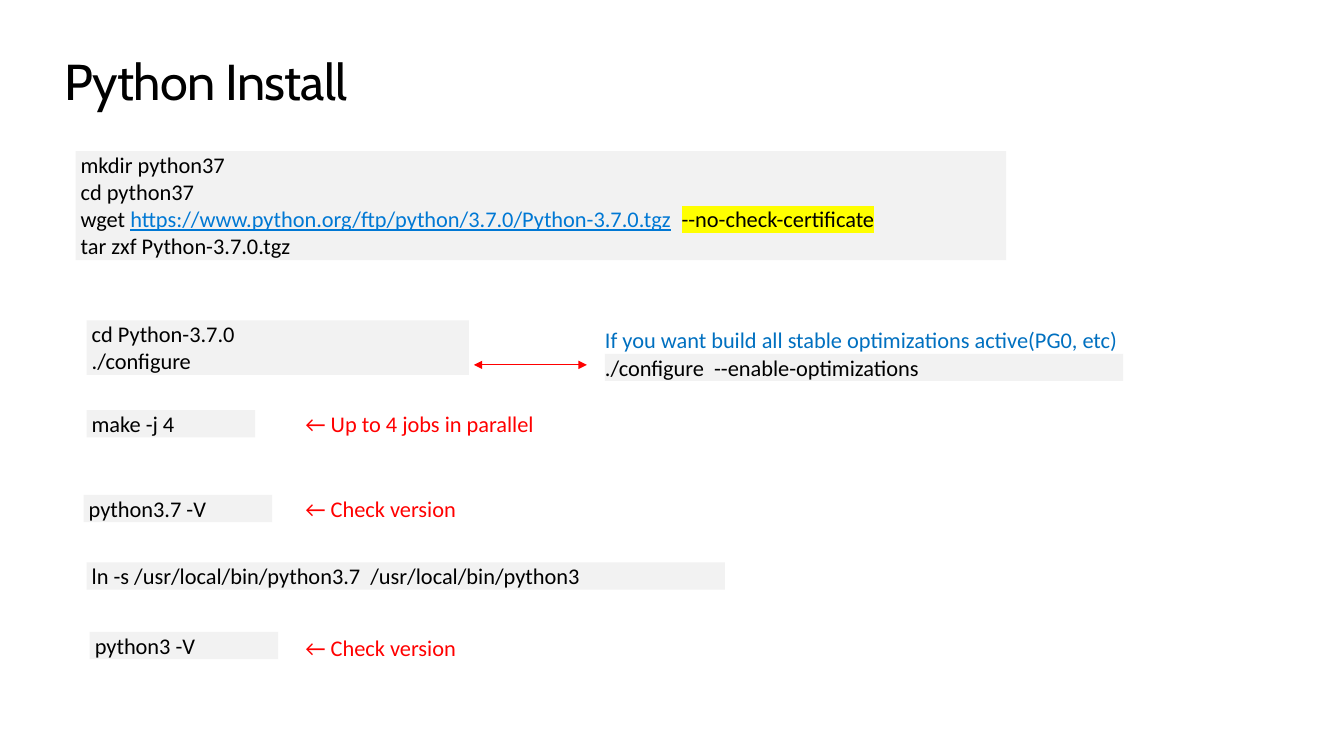
from lxml import etree
from pptx import Presentation
from pptx.dml.color import RGBColor
from pptx.enum.shapes import MSO_CONNECTOR, MSO_SHAPE
from pptx.enum.text import MSO_ANCHOR, MSO_AUTO_SIZE, PP_ALIGN
from pptx.oxml.ns import qn
from pptx.util import Inches, Pt

RECTANGLE = MSO_SHAPE.RECTANGLE
STRAIGHT = MSO_CONNECTOR.STRAIGHT
TOP = MSO_ANCHOR.TOP
NO_AUTOFIT = MSO_AUTO_SIZE.NONE
LEFT = PP_ALIGN.LEFT

BLACK = RGBColor(0x00, 0x00, 0x00)
GREY = RGBColor(0xF2, 0xF2, 0xF2)
RED = RGBColor(0xFF, 0x00, 0x00)
BLUE = RGBColor(0x00, 0x70, 0xC0)
LINK_BLUE = RGBColor(0x00, 0x78, 0xD4)
YELLOW = RGBColor(0xFF, 0xFF, 0x00)

LINE_HEIGHT = 0.27
CODE_INDENT = 0.05
NOTE_LEFT = 3.03


class InstallPage:
    """Holds the text style and the slide being filled."""

    title_format = {"name": "Cabin", "size": Pt(36), "bold": False}
    body_format = {"name": "Calibri", "size": Pt(16)}

    def __init__(self, deck):
        self.page = deck.slides.add_slide(deck.slide_layouts[5])

    def frame(self, box, indent=0):
        settings = {
            "margin_left": Inches(indent), "margin_right": 0,
            "margin_top": 0, "margin_bottom": 0, "word_wrap": True,
            "auto_size": NO_AUTOFIT, "vertical_anchor": TOP,
        }
        for name, value in settings.items():
            setattr(box.text_frame, name, value)
        return box.text_frame

    def span(self, para, text, style, color=BLACK, underline=None, highlight=None):
        para.alignment = LEFT
        span = para.add_run()
        span.text = text
        for name, value in {**style, "underline": underline}.items():
            setattr(span.font, name, value)
        span.font.color.rgb = color
        properties = span._r.get_or_add_rPr()
        if highlight is not None:
            mark = etree.Element(qn("a:highlight"))
            etree.SubElement(mark, qn("a:srgbClr"), val=str(highlight))
            properties.find(qn("a:solidFill")).addnext(mark)
        return properties

    def title(self, text):
        box = self.page.shapes.title
        box.left, box.top = Inches(0.64), Inches(0.5)
        box.width, box.height = Inches(12.05), Inches(0.61)
        para = self.frame(box).paragraphs[0]
        self.span(para, text, self.title_format).set("spc", "-50")

    def code(self, left, top, width, lines, indent=CODE_INDENT):
        """Each line is a list of (text, format) pieces."""
        box = self.page.shapes.add_shape(
            RECTANGLE, Inches(left), Inches(top), Inches(width),
            Inches(LINE_HEIGHT * len(lines)))
        box.shadow.inherit = False
        box.fill.solid()
        box.fill.fore_color.rgb = GREY
        box.line.fill.background()
        frame = self.frame(box, indent)
        for index, pieces in enumerate(lines):
            para = frame.add_paragraph() if index else frame.paragraphs[0]
            for text, extra in pieces:
                self.span(para, text, self.body_format, **extra)

    def note(self, left, top, width, text, color):
        box = self.page.shapes.add_textbox(
            Inches(left), Inches(top), Inches(width), Inches(LINE_HEIGHT))
        para = self.frame(box).paragraphs[0]
        self.span(para, text, self.body_format, color)

    def double_arrow(self, start, end, top):
        arrow = self.page.shapes.add_connector(
            STRAIGHT, Inches(start), Inches(top), Inches(end), Inches(top))
        arrow.line.color.rgb = RED
        arrow.line.width = Pt(0.75)
        outline = arrow.line._get_or_add_ln()
        for tip in ("a:headEnd", "a:tailEnd"):
            etree.SubElement(outline, qn(tip), type="triangle")
        etree.SubElement(arrow._element.spPr, qn("a:effectLst"))


def plain(*lines):
    return [[(line, {})] for line in lines]


def main():
    deck = Presentation()
    deck.slide_width, deck.slide_height = Inches(13.33), Inches(7.5)
    install = InstallPage(deck)
    install.title("Python Install")

    # Download and unpack
    wget = [
        ("wget ", {}),
        ("https://www.python.org/ftp/python/3.7.0/Python-3.7.0.tgz",
         {"color": LINK_BLUE, "underline": True}),
        ("  ", {}),
        ("--no-check-certificate", {"highlight": YELLOW}),
    ]
    install.code(0.75, 1.5, 9.23, [
        *plain("mkdir python37", "cd python37"), wget,
        *plain("tar zxf Python-3.7.0.tgz")])

    # Configure, build and check
    commands = [
        (0.86, 3.18, 3.79, ["cd Python-3.7.0", "./configure"]),
        (0.86, 4.07, 1.67, ["make -j 4"]),
        (0.83, 4.91, 1.87, ["python3.7 -V"]),
        (0.86, 5.58, 6.33, ["ln -s /usr/local/bin/python3.7  /usr/local/bin/python3"]),
        (0.89, 6.27, 1.87, ["python3 -V"]),
    ]
    for left, top, width, lines in commands:
        install.code(left, top, width, plain(*lines))

    # Remarks beside the commands
    remarks = [
        (4.07, 3.79, "← Up to 4 jobs in parallel"),
        (4.91, 5.37, "← Check version"),
        (6.29, 5.37, "← Check version"),
    ]
    for top, width, text in remarks:
        install.note(NOTE_LEFT, top, width, text, RED)

    # Optimized alternative
    install.code(6, 3.51, 5.14, plain("./configure  --enable-optimizations"), indent=0)
    install.note(6, 3.24, 6.15,
                 "If you want build all stable optimizations active(PG0, etc)", BLUE)
    install.double_arrow(4.7, 5.82, 3.62)

    deck.save("out.pptx")


if __name__ == "__main__":
    main()
